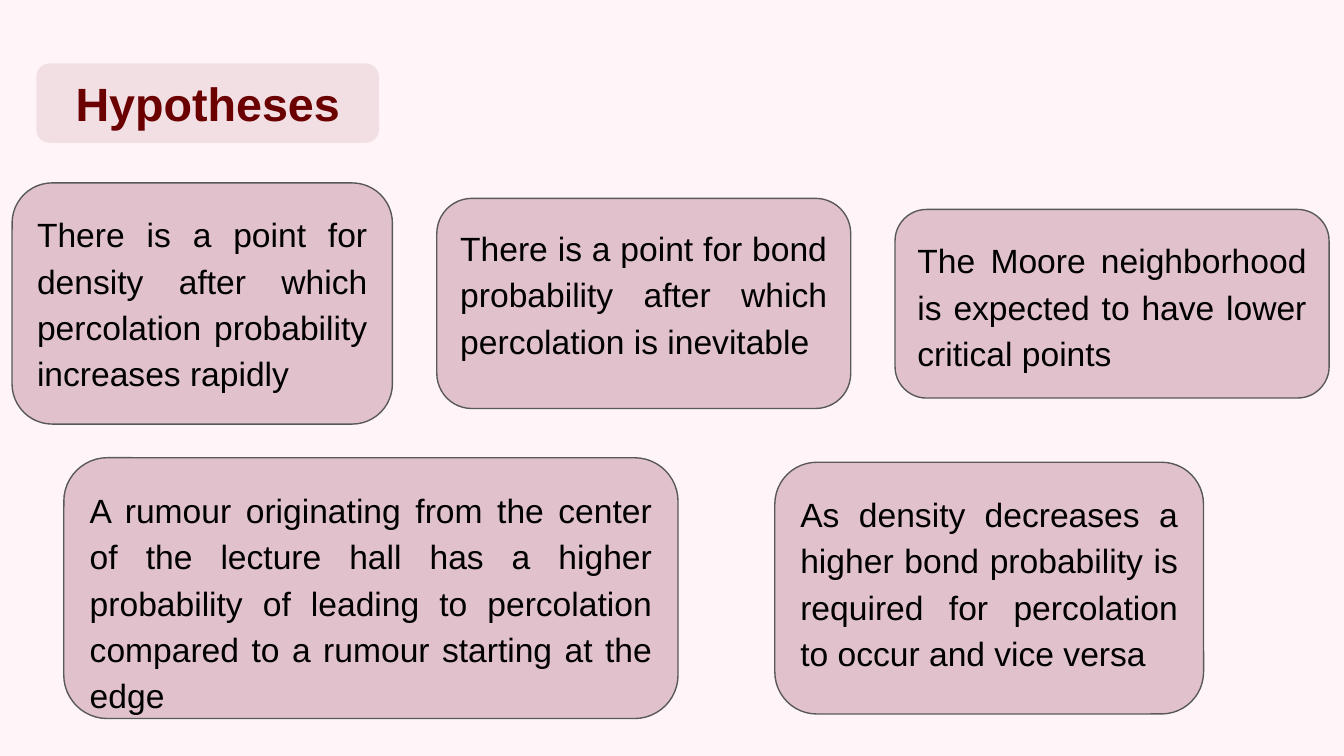
from dataclasses import dataclass

from lxml.etree import SubElement
from pptx import Presentation
from pptx.dml.color import RGBColor
from pptx.enum.shapes import MSO_SHAPE as Shape
from pptx.enum.text import MSO_ANCHOR as Anchor, MSO_AUTO_SIZE as AutoSize, PP_ALIGN as Align
from pptx.oxml.ns import qn
from pptx.util import Inches, Pt


@dataclass(frozen=True)
class Theme:
    """Colours, opacities in percent, and type sizes in points."""
    font: str = "Arial"
    background: str = "FFF5F8"
    card: str = "740A30"
    card_opacity: int = 22
    outline: str = "595959"
    outline_width: float = 0.75
    ink: str = "000000"
    badge: str = "E1C3CC"
    badge_opacity: int = 44
    heading: str = "6B0000"
    heading_size: int = 25
    body_size: int = 18
    line_spacing: float = 1.15


@dataclass(frozen=True)
class Hypothesis:
    """A statement with its frame in percent of the slide."""
    frame: tuple
    statement: str
    anchor: Anchor = Anchor.TOP
    space_after: int = 12


THEME = Theme()
WIDTH = Inches(10)
HEIGHT = WIDTH * 9 // 16
INSET = Inches(0.1)
HEADING_FRAME = (2.7, 8.4, 25.5, 10.5)
HYPOTHESES = (
    Hypothesis((0.9, 24.2, 28.3, 31.9),
               "There is a point for density after which percolation probability increases rapidly"),
    Hypothesis((32.5, 26.25, 30.8, 27.8),
               "There is a point for bond probability after which percolation is inevitable"),
    Hypothesis((4.75, 60.55, 45.7, 34.5),
               "A rumour originating from the center of the lecture hall has a higher probability "
               "of leading to percolation compared to a rumour starting at the edge", space_after=0),
    Hypothesis((57.65, 61.15, 31.9, 33.3),
               "As density decreases a higher bond probability is required for percolation "
               "to occur and vice versa"),
    Hypothesis((66.6, 27.7, 32.3, 24.95),
               "The Moore neighborhood is expected to have lower critical points",
               Anchor.MIDDLE, 0),
)


def place(frame):
    """Turn percentages of the slide into left, top, width and height."""
    return [round(share * side / 100) for share, side in zip(frame, (WIDTH, HEIGHT) * 2)]


def add_panel(slide, frame, color, opacity):
    """Add a rounded panel with a translucent fill and no outline."""
    panel = slide.shapes.add_shape(Shape.ROUNDED_RECTANGLE, *place(frame))
    panel.shadow.inherit = False
    panel.fill.solid()
    panel.fill.fore_color.rgb = RGBColor.from_string(color)
    color_node = panel.element.spPr.find(qn("a:solidFill"))[0]
    SubElement(color_node, qn("a:alpha"), val=str(opacity * 1000))
    panel.line.fill.background()
    return panel


def write(shape, text, size, color, align, anchor, bold=False):
    """Write one styled run and return its paragraph."""
    frame = shape.text_frame
    frame.word_wrap = True
    frame.auto_size = AutoSize.NONE
    frame.vertical_anchor = anchor
    frame.margin_left = frame.margin_right = frame.margin_top = frame.margin_bottom = INSET
    paragraph = frame.paragraphs[0]
    paragraph.alignment = align
    run = paragraph.add_run()
    run.text = text
    run.font.name, run.font.size, run.font.bold = THEME.font, Pt(size), bold
    run.font.color.rgb = RGBColor.from_string(color)
    return paragraph


def add_hypothesis(slide, hypothesis):
    """Add an outlined card holding one hypothesis."""
    card = add_panel(slide, hypothesis.frame, THEME.card, THEME.card_opacity)
    card.line.color.rgb = RGBColor.from_string(THEME.outline)
    card.line.width = Pt(THEME.outline_width)
    paragraph = write(card, hypothesis.statement, THEME.body_size, THEME.ink,
                      Align.JUSTIFY, hypothesis.anchor)
    paragraph.line_spacing = THEME.line_spacing
    paragraph.space_after = Pt(hypothesis.space_after)


def set_heading(slide, text):
    """Set the title on a rounded badge and bring it to the front."""
    add_panel(slide, HEADING_FRAME, THEME.badge, THEME.badge_opacity)
    heading = slide.shapes.title
    heading.left, heading.top, heading.width, heading.height = place(HEADING_FRAME)
    write(heading, text, THEME.heading_size, THEME.heading, Align.CENTER, Anchor.MIDDLE, bold=True)
    heading.element.getparent().append(heading.element)


def main():
    """Build the hypotheses slide."""
    deck = Presentation()
    deck.slide_width, deck.slide_height = WIDTH, HEIGHT
    slide = deck.slides.add_slide(deck.slide_layouts.get_by_name("Title Only"))
    slide.background.fill.solid()
    slide.background.fill.fore_color.rgb = RGBColor.from_string(THEME.background)
    for hypothesis in HYPOTHESES:
        add_hypothesis(slide, hypothesis)
    set_heading(slide, "Hypotheses")
    deck.save("out.pptx")


if __name__ == "__main__":
    main()
